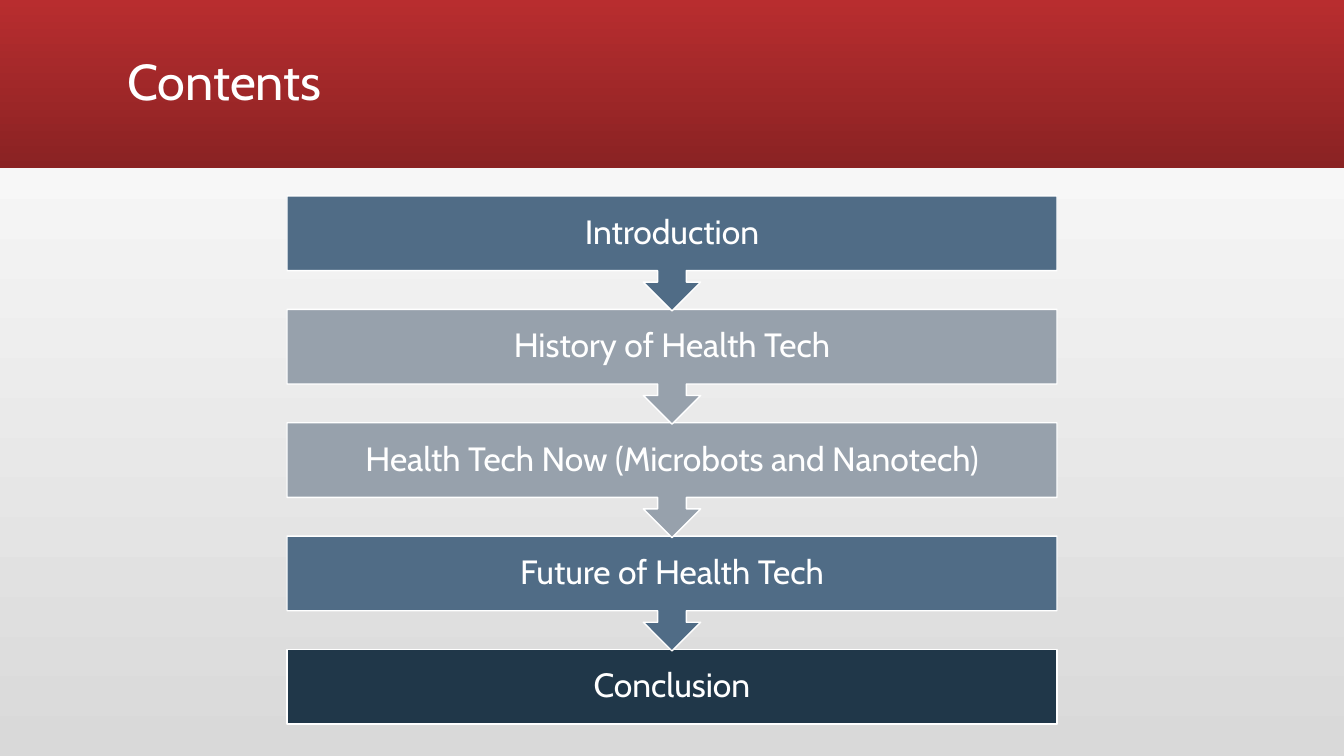
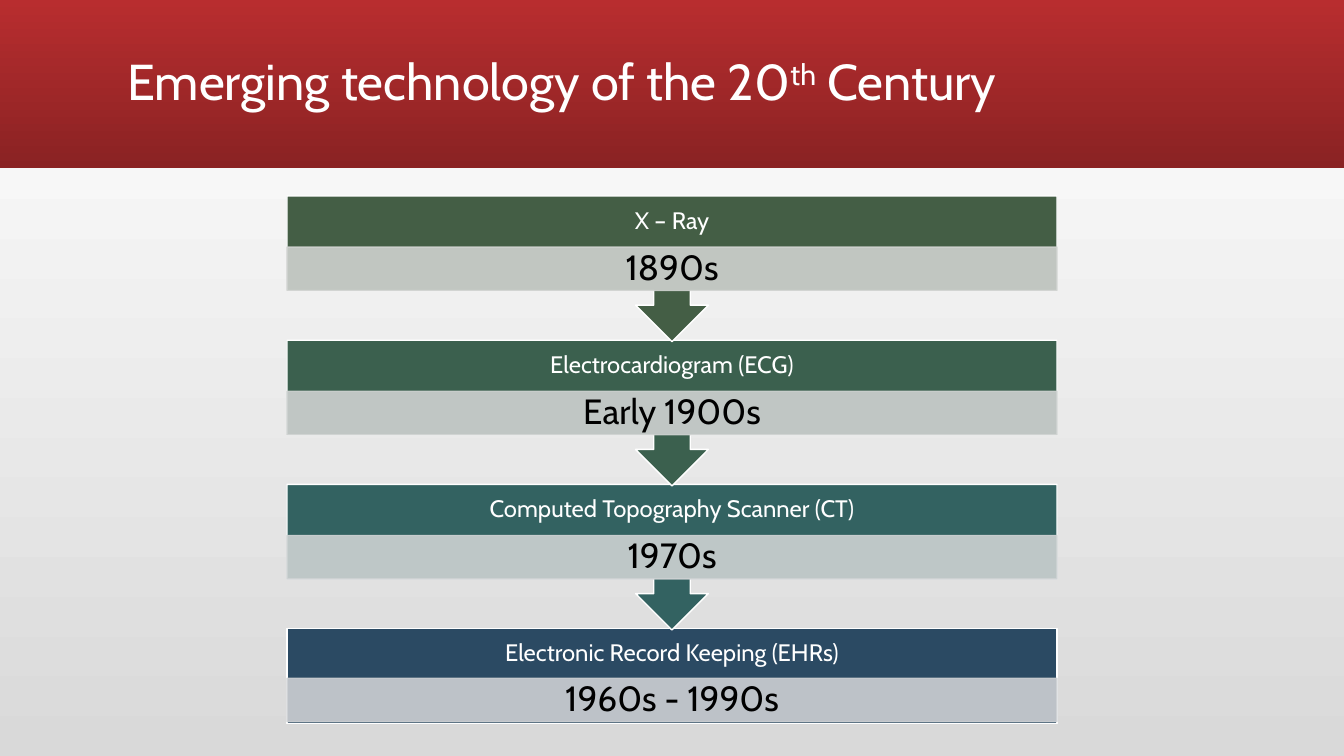
import pptx
import pptx.dml.color
import pptx.enum.shapes
import pptx.enum.text
import pptx.oxml.ns
import pptx.util
from lxml import etree

Pt = pptx.util.Pt
SHAPE = pptx.enum.shapes.MSO_SHAPE
ALIGN = pptx.enum.text.PP_ALIGN
MIDDLE = pptx.enum.text.MSO_ANCHOR.MIDDLE
qn = pptx.oxml.ns.qn

SLIDE_WIDTH, SLIDE_HEIGHT = 960, 540
BAND_HEIGHT = 120
FLOW_WIDTH, FLOW_TOP = 550, 140
FLOW_LEFT = (SLIDE_WIDTH - FLOW_WIDTH) / 2
BODY_SHARE = 0.65
DATE_HEIGHT = 31
WHITE, BLACK = "FFFFFF", "000000"
STEEL, SLATE, NAVY = "506C86", "97A1AC", "203749"


def paint(target, *colours, angle=270):
    if len(colours) == 1:
        target.solid()
        target.fore_color.rgb = pptx.dml.color.RGBColor.from_string(colours[0])
        return
    target.gradient()
    target.gradient_angle = angle
    for stop, colour in zip(target.gradient_stops, colours):
        stop.color.rgb = pptx.dml.color.RGBColor.from_string(colour)


def write(shape, runs, size, colour, align, **margins):
    frame = shape.text_frame
    layout = {"word_wrap": True, "vertical_anchor": MIDDLE}
    layout.update({f"margin_{side}": Pt(gap) for side, gap in margins.items()})
    for key, value in layout.items():
        setattr(frame, key, value)
    paragraph = frame.paragraphs[0]
    paragraph.alignment = align
    paragraph.line_spacing = 0.9
    for text, raised in runs:
        run = paragraph.add_run()
        run.text = text
        for key, value in {"name": "Cabin", "size": Pt(size)}.items():
            setattr(run.font, key, value)
        paint(run.font.fill, colour)
        if raised:
            run.font._element.set("baseline", "30000")


slides = [
    {
        "title": [("Contents", False)],
        "pitch": 81, "callout": 82, "size": 24,
        "steps": [
            ("Introduction", STEEL),
            ("History of Health Tech", SLATE),
            ("Health Tech Now (Microbots and Nanotech)", SLATE),
            ("Future of Health Tech", STEEL),
            ("Conclusion", NAVY),
        ],
    },
    {
        "title": [("Emerging technology of the 20", False), ("th", True), (" Century", False)],
        "pitch": 103, "callout": 104, "size": 17,
        "steps": [
            ("X – Ray", "445E45", "1890s", "CFD2CF"),
            ("Electrocardiogram (ECG)", "3B604E", "Early 1900s", "CFD2D1"),
            ("Computed Topography Scanner (CT)", "336261", "1970s", "CED2D3"),
            ("Electronic Record Keeping (EHRs)", "2B4A63", "1960s - 1990s", "CDD0D3"),
        ],
    },
]

deck = pptx.Presentation()
deck.slide_width, deck.slide_height = Pt(SLIDE_WIDTH), Pt(SLIDE_HEIGHT)
paint(deck.slide_master.background.fill, "D9D9D9", WHITE, angle=90)

for content in slides:
    slide = deck.slides.add_slide(deck.slide_layouts[6])

    band = slide.shapes.add_shape(SHAPE.RECTANGLE, 0, 0, Pt(SLIDE_WIDTH), Pt(BAND_HEIGHT))
    band.shadow.inherit = False
    band.line.fill.background()
    paint(band.fill, "B82D2F", "8A2223")

    title = slide.shapes.add_textbox(Pt(84), Pt(8), Pt(792), Pt(104))
    write(title, content["title"], 36, WHITE, ALIGN.LEFT)

    last = len(content["steps"]) - 1
    for index in range(last, -1, -1):
        name, fill, *dating = content["steps"][index]
        top = FLOW_TOP + index * content["pitch"]
        body_height = content["callout"] * BODY_SHARE
        is_last = index == last
        step = slide.shapes.add_shape(
            SHAPE.RECTANGLE if is_last else SHAPE.DOWN_ARROW_CALLOUT,
            Pt(FLOW_LEFT), Pt(top), Pt(FLOW_WIDTH),
            Pt(body_height if is_last else content["callout"]))
        step.shadow.inherit = False
        paint(step.fill, fill)
        paint(step.line.fill, WHITE)
        step.line.width = Pt(1)
        write(step, [(name, False)], content["size"], WHITE, ALIGN.CENTER,
              top=0, bottom=DATE_HEIGHT if dating else 0)

        if dating:
            period, tint = dating
            date_top = top + (35.5 if is_last else 36.5)
            date = slide.shapes.add_shape(
                SHAPE.RECTANGLE, Pt(FLOW_LEFT), Pt(date_top), Pt(FLOW_WIDTH), Pt(DATE_HEIGHT))
            date.shadow.inherit = False
            paint(date.fill, tint)
            paint(date.line.fill, tint)
            date.line.width = Pt(1)
            for colour in date._element.spPr.iter(qn("a:srgbClr")):
                etree.SubElement(colour, qn("a:alpha")).set("val", "90000")
            write(date, [(period, False)], 25, BLACK, ALIGN.CENTER, top=0, bottom=0)

deck.save("out.pptx")
